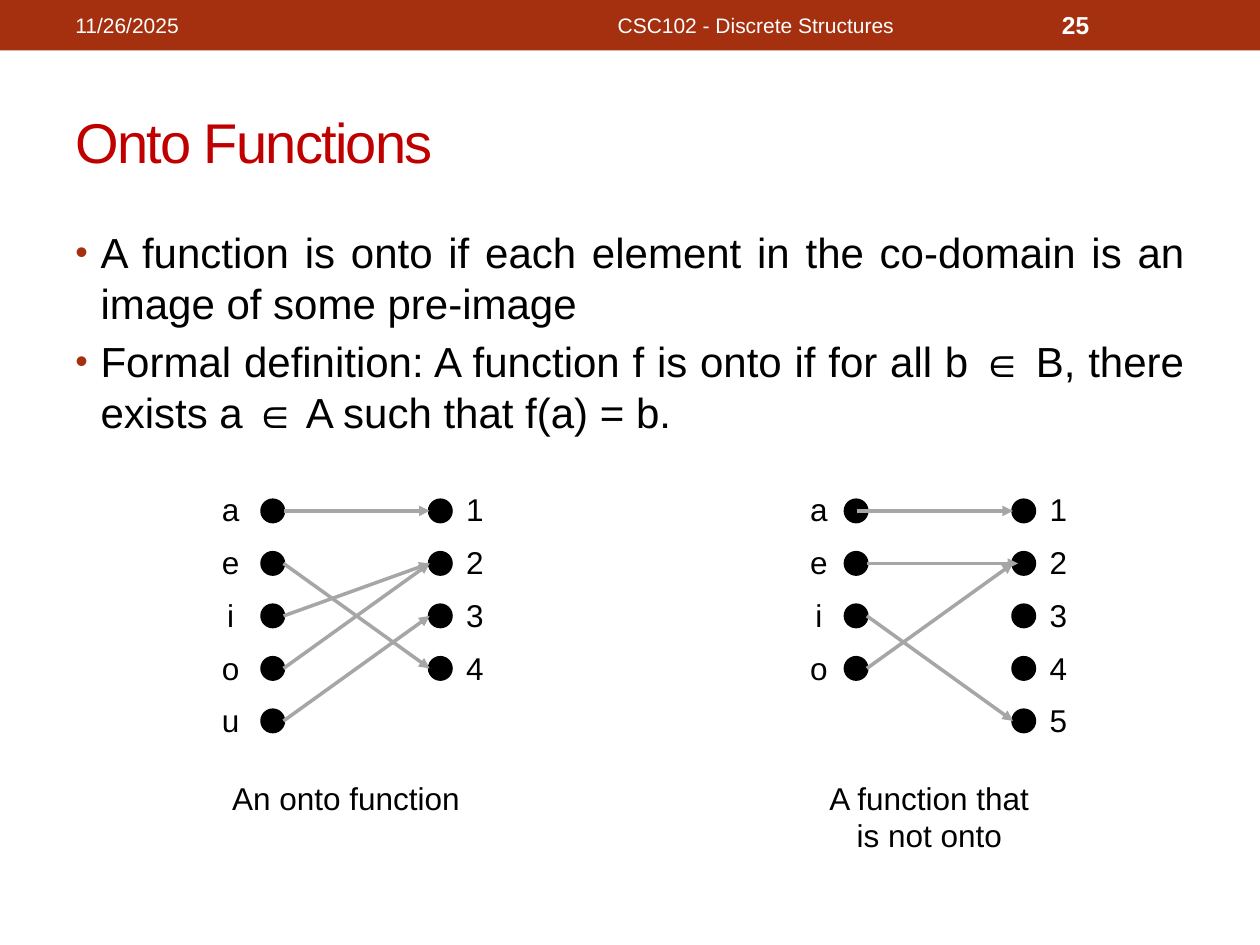
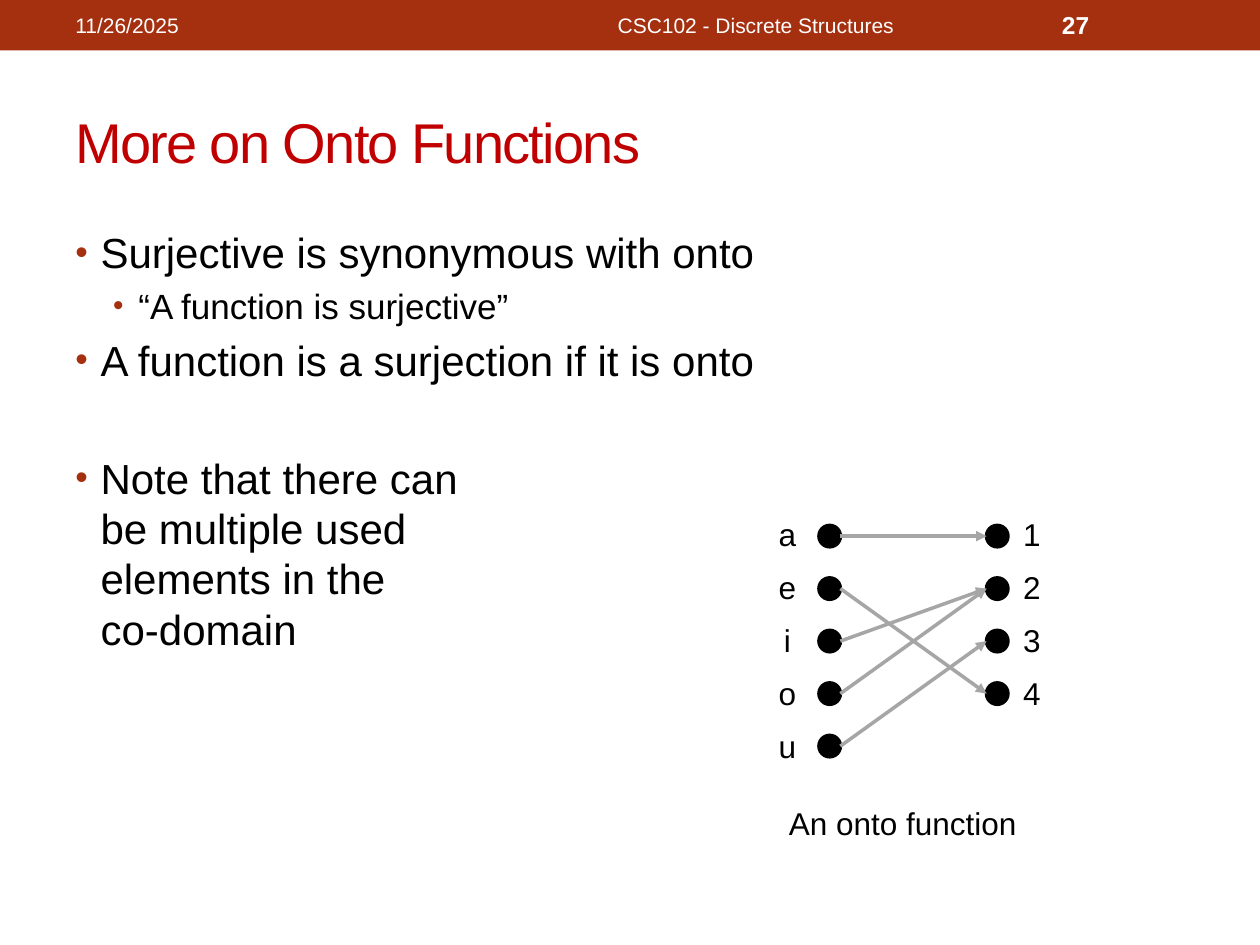
import pptx
import pptx.dml.color
import pptx.enum.shapes
import pptx.enum.text
import pptx.oxml
import pptx.oxml.ns
import pptx.util
from dataclasses import dataclass

Inches = pptx.util.Inches
Pt = pptx.util.Pt
ALIGN = pptx.enum.text.PP_ALIGN
SHAPE = pptx.enum.shapes.MSO_SHAPE


@dataclass(frozen=True)
class Theme:
    font: str = "Arial"
    band: str = "A5300F"
    title: str = "C00000"
    text: str = "000000"
    arrow: str = "A6A6A6"
    light: str = "FFFFFF"
    title_size: int = 32
    body_sizes: tuple = (24, 20)
    label_size: int = 18
    header_size: int = 12
    number_size: int = 14


THEME = Theme()

# Content
DATE = "11/26/2025"
COURSE = "CSC102 - Discrete Structures"

ONTO = {
    "domain": "aeiou",
    "codomain": "1234",
    # from, to, shift of the start, shift of the tip
    "arrows": [("a", "1", 0, 0), ("e", "4", 0, 0), ("o", "2", 0, 0),
               ("i", "2", 0, 0), ("u", "3", 0, 0)],
    "caption": "An onto function",
    "caption_width": 2.04,
    "label_gap": 0.42,
}
NOT_ONTO = {
    "domain": "aeio",
    "codomain": "12345",
    "arrows": [("a", "1", -0.08, 0), ("e", "2", 0, 0.04),
               ("o", "2", 0, 0), ("i", "5", 0, 0)],
    "caption": "A function that is not onto",
    "caption_width": 1.92,
    "label_gap": 0.38,
}

SLIDES = [
    {
        "number": "25",
        "title": "Onto Functions",
        "align": ALIGN.JUSTIFY,
        # level, space before, text
        "bullets": [
            (0, 0, "A function is onto if each element in the co-domain "
                   "is an image of some pre-image"),
            (0, 4.8, "Formal definition: A function f is onto if for all b ∈ B, "
                     "there exists a ∈ A such that f(a) = b."),
        ],
        "diagrams": [(NOT_ONTO, 6.71, 3.97), (ONTO, 2.08, 3.97)],
    },
    {
        "number": "27",
        "title": "More on Onto Functions",
        "align": ALIGN.LEFT,
        "bullets": [
            (0, 0, "Surjective is synonymous with onto"),
            (1, 4, "“A function is surjective”"),
            (0, 4.8, "A function is a surjection if it is onto"),
            (0, 38.4, "Note that there can\vbe multiple used\velements in the\vco-domain"),
        ],
        "diagrams": [(ONTO, 6.5, 4.17)],
    },
]

# Diagram geometry, in inches
DOT = 0.17
ROW_STEP = 5 / 12
COLUMN_GAP = 1.33
LABEL_WIDTH = 0.34
LABEL_HEIGHT = 2.2


def rgb(value):
    return pptx.dml.color.RGBColor.from_string(value)


def format_runs(paragraph, size, color, bold=False):
    for run in paragraph.runs:
        run.font.name = THEME.font
        run.font.size = Pt(size)
        run.font.bold = bold
        run.font.color.rgb = rgb(color)


def add_text(slide, box, text, size, color, align=ALIGN.LEFT, bold=False,
             middle=False, wrap=True, line_spacing=None):
    shape = slide.shapes.add_textbox(*map(Inches, box))
    frame = shape.text_frame
    frame.text = text
    frame.word_wrap = wrap
    if middle:
        frame.vertical_anchor = pptx.enum.text.MSO_ANCHOR.MIDDLE
    for paragraph in frame.paragraphs:
        paragraph.alignment = align
        if line_spacing:
            paragraph.line_spacing = line_spacing
        format_runs(paragraph, size, color, bold)
    return shape


def add_solid(slide, kind, box, color, line_width=0):
    shape = slide.shapes.add_shape(kind, *map(Inches, box))
    shape.shadow.inherit = False
    shape.fill.solid()
    shape.fill.fore_color.rgb = rgb(color)
    if line_width:
        shape.line.color.rgb = rgb(color)
        shape.line.width = Pt(line_width)
    else:
        shape.line.fill.background()


def add_child(parent, tag, **attributes):
    element = pptx.oxml.parse_xml(f"<a:{tag} {pptx.oxml.ns.nsdecls('a')}/>")
    for name, value in attributes.items():
        element.set(name, str(value))
    parent.append(element)
    return element


def add_arrow(slide, start, end):
    arrow = slide.shapes.add_connector(
        pptx.enum.shapes.MSO_CONNECTOR.STRAIGHT, *map(Inches, start + end))
    arrow.line.color.rgb = rgb(THEME.arrow)
    arrow.line.width = Pt(2)
    add_child(arrow.line._get_or_add_ln(), "tailEnd", type="triangle")
    add_child(arrow._element.spPr, "effectLst")


def add_header(slide, number):
    add_solid(slide, SHAPE.RECTANGLE, (0, 0, 10, 0.4), THEME.band)
    add_text(slide, (0.5, 0.02, 3.17, 0.36), DATE, THEME.header_size,
             THEME.light, middle=True)
    add_text(slide, (3.75, 0.02, 4.5, 0.36), COURSE, THEME.header_size,
             THEME.light, align=ALIGN.CENTER, middle=True)
    add_text(slide, (8.33, 0.02, 1.17, 0.36), number, THEME.number_size,
             THEME.light, bold=True, middle=True)


def add_title(slide, text):
    title = add_text(slide, (0.5, 0.58, 9, 1.08), text, THEME.title_size,
                     THEME.title, middle=True)
    for run in title.text_frame.paragraphs[0].runs:
        run.font._element.set("spc", "-100")


def add_bullets(slide, bullets, align):
    shape = slide.shapes.add_textbox(*map(Inches, (0.5, 1.75, 9, 5.33)))
    frame = shape.text_frame
    frame.word_wrap = True
    for index, (level, space_before, text) in enumerate(bullets):
        paragraph = frame.add_paragraph() if index else frame.paragraphs[0]
        paragraph.text = text
        paragraph.level = level
        paragraph.alignment = align
        properties = paragraph._element.get_or_add_pPr()
        properties.set("marL", str(Inches(0.2 + 0.3 * level)))
        properties.set("indent", str(Inches(-0.2)))
        add_child(add_child(properties, "buClr"), "srgbClr", val=THEME.band)
        add_child(properties, "buSzPct", val=85000)
        add_child(properties, "buFont", typeface=THEME.font)
        add_child(properties, "buChar", char="•")
        paragraph.space_before = Pt(space_before)
        format_runs(paragraph, THEME.body_sizes[level], THEME.text)


def add_diagram(slide, diagram, left, top):
    domain, codomain = diagram["domain"], diagram["codomain"]
    right = left + COLUMN_GAP

    # Dots and their labels
    for elements, dot_x, label_x in (
            (domain, left, left - diagram["label_gap"]),
            (codomain, right, right + 0.19)):
        for row in range(len(elements)):
            add_solid(slide, SHAPE.OVAL, (dot_x, top + row * ROW_STEP, DOT, DOT),
                      THEME.text, line_width=2)
        add_text(slide, (label_x, top - 0.25, LABEL_WIDTH, LABEL_HEIGHT),
                 "\n".join(elements), THEME.label_size, THEME.text,
                 align=ALIGN.CENTER, wrap=False, line_spacing=1.4)

    # Arrows run from the right side of one dot to the left side of another
    def row_middle(elements, element):
        return top + DOT / 2 + elements.index(element) * ROW_STEP

    for source, target, start_shift, tip_shift in diagram["arrows"]:
        add_arrow(slide,
                  (left + DOT + start_shift, row_middle(domain, source)),
                  (right + tip_shift, row_middle(codomain, target)))

    # Caption, centred under the diagram
    width = diagram["caption_width"]
    center = left + COLUMN_GAP / 2
    add_text(slide, (center - width / 2, top + 2.16, width, 0.4),
             diagram["caption"], THEME.label_size, THEME.text,
             align=ALIGN.CENTER)


def main():
    presentation = pptx.Presentation()
    presentation.slide_width = Inches(10)
    presentation.slide_height = Inches(7.5)
    for content in SLIDES:
        slide = presentation.slides.add_slide(presentation.slide_layouts[6])
        add_header(slide, content["number"])
        add_title(slide, content["title"])
        add_bullets(slide, content["bullets"], content["align"])
        for diagram, left, top in content["diagrams"]:
            add_diagram(slide, diagram, left, top)
    presentation.save("out.pptx")


if __name__ == "__main__":
    main()
